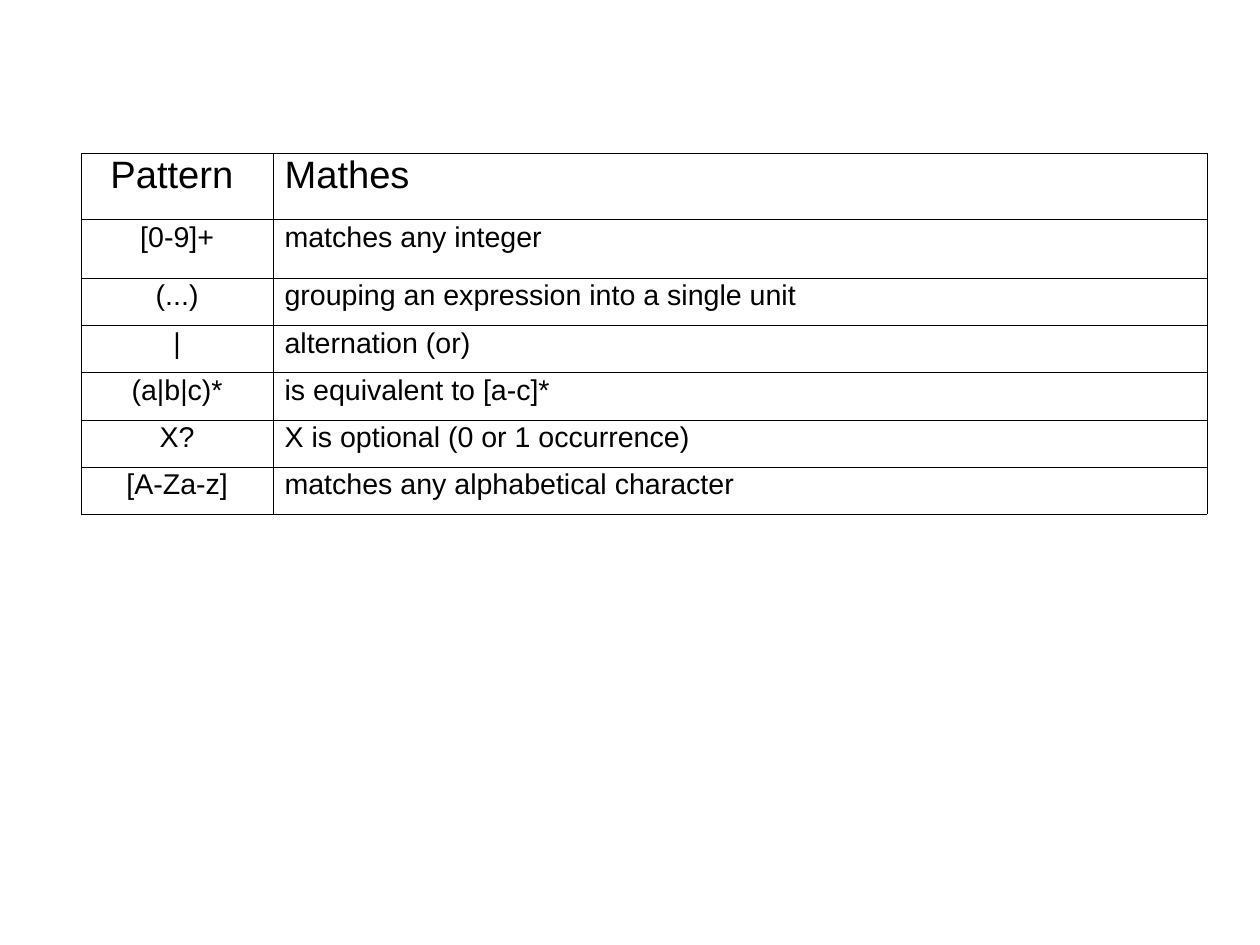
from lxml import etree
from pptx import Presentation
from pptx.dml.color import RGBColor
from pptx.enum import text
from pptx.oxml.ns import qn
from pptx.util import Cm, Inches, Pt

PATTERNS = [
    ("Pattern ", "Mathes"),
    ("[0-9]+", "matches any integer"),
    ("(...)", "grouping an expression into a single unit"),
    ("|", "alternation (or)"),
    ("(a|b|c)*", "is equivalent to [a-c]*"),
    ("X?", "X is optional (0 or 1 occurrence)"),
    ("[A-Za-z]", "matches any alphabetical character"),
]
SLIDE_SIZE = {"slide_width": Cm(28), "slide_height": Cm(21)}
LEFT, TOP, HEIGHT = 0.71, 1.34, 3.16
COLUMN_WIDTHS = (1.68, 8.17)
TALL_ROWS = [0.58, 0.51]
ALIGNMENTS = (text.PP_ALIGN.CENTER, text.PP_ALIGN.LEFT)

THEME = {
    "ink": "000000",
    "paper": "FFFFFF",
    "font": "Arial",
    "header_size": 24,
    "body_size": 18,
    "border": 0.06,
    "line_spacing": 0.87,
}
CELL_FORMAT = {
    "margin_left": Inches(0.1),
    "margin_right": Inches(0.1),
    "margin_top": Inches(0.05),
    "margin_bottom": Inches(0.05),
    "vertical_anchor": text.MSO_ANCHOR.TOP,
}


def apply(target, values):
    for name, value in values.items():
        setattr(target, name, value)


def row_heights():
    """Share the height left by the tall rows equally among the others."""
    others = len(PATTERNS) - len(TALL_ROWS)
    return TALL_ROWS + [(HEIGHT - sum(TALL_ROWS)) / others] * others


def add_borders(cell):
    """Draw all four sides; the lines must precede the cell's fill in the XML."""
    properties = cell._tc.get_or_add_tcPr()
    for index, side in enumerate(("lnL", "lnR", "lnT", "lnB")):
        line = etree.Element(qn(f"a:{side}"), w=str(Pt(THEME["border"])))
        fill = etree.SubElement(line, qn("a:solidFill"))
        etree.SubElement(fill, qn("a:srgbClr"), val=THEME["ink"])
        properties.insert(index, line)


def fill_cell(cell, words, size, alignment):
    apply(cell, CELL_FORMAT)
    cell.fill.solid()
    cell.fill.fore_color.rgb = RGBColor.from_string(THEME["paper"])
    add_borders(cell)
    para = cell.text_frame.paragraphs[0]
    apply(para, {"alignment": alignment, "line_spacing": THEME["line_spacing"]})
    span = para.add_run()
    span.text = words
    apply(span.font, {"name": THEME["font"], "size": Pt(size), "bold": False})
    span.font.color.rgb = RGBColor.from_string(THEME["ink"])


def add_pattern_table(page):
    frame = page.shapes.add_table(
        len(PATTERNS), len(COLUMN_WIDTHS), Inches(LEFT), Inches(TOP),
        Inches(sum(COLUMN_WIDTHS)), Inches(HEIGHT))
    table = frame.table
    apply(table, {"first_row": False, "horz_banding": False})
    for column, width in zip(table.columns, COLUMN_WIDTHS):
        column.width = Inches(width)
    for index, (row, height) in enumerate(zip(table.rows, row_heights())):
        row.height = Inches(height)
        size = THEME["body_size" if index else "header_size"]
        for cell, words, alignment in zip(row.cells, PATTERNS[index], ALIGNMENTS):
            fill_cell(cell, words, size, alignment)


def main():
    deck = Presentation()
    apply(deck, SLIDE_SIZE)
    page = deck.slides.add_slide(deck.slide_layouts[6])
    add_pattern_table(page)
    deck.save("out.pptx")


if __name__ == "__main__":
    main()
